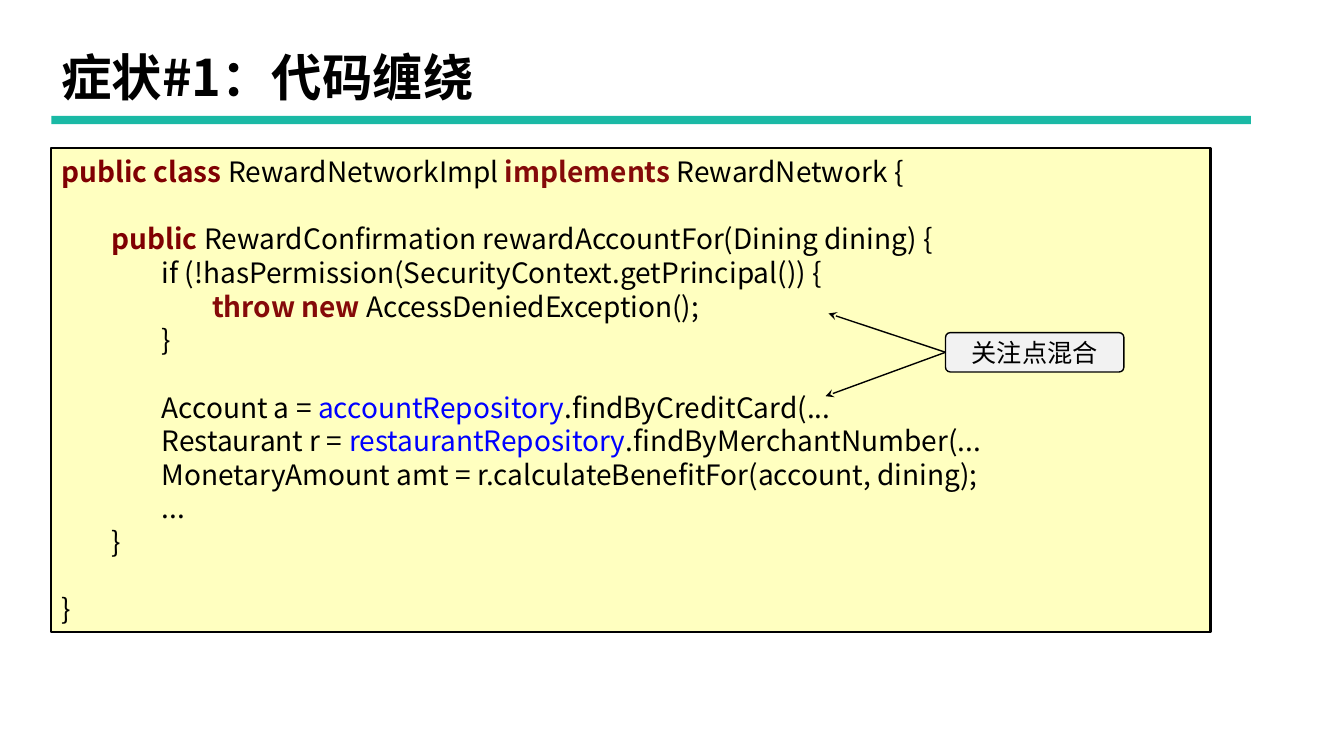
from lxml import etree
from pptx import Presentation
from pptx.dml.color import RGBColor
from pptx.enum.shapes import MSO_CONNECTOR, MSO_SHAPE
from pptx.enum.text import MSO_ANCHOR, PP_ALIGN
from pptx.oxml.ns import qn
from pptx.util import Pt

FONT = "Noto Sans CJK SC"
BLACK = RGBColor(0x00, 0x00, 0x00)
TEAL = RGBColor(0x1A, 0xB9, 0xA5)
CREAM = RGBColor(0xFF, 0xFF, 0xC0)
PALE_GREY = RGBColor(0xF2, 0xF2, 0xF2)
MAROON = RGBColor(0x80, 0x00, 0x02)
BRICK = RGBColor(0x85, 0x0A, 0x09)
BLUE = RGBColor(0x00, 0x00, 0xFF)

LEFT = 36.7
CODE_SIZE = 20
LINE_PITCH = 24
INDENT = " " * 8

# Each line: indent level, blank lines above, then (text, colour) pieces.
CODE = [
    (0, 0, [("public class ", MAROON), ("RewardNetworkImpl ", BLACK),
            ("implements ", BRICK), ("RewardNetwork {", BLACK)]),
    (1, 1, [("public ", MAROON),
            ("RewardConfirmation rewardAccountFor(Dining dining) {", BLACK)]),
    (2, 0, [("if (!hasPermission(SecurityContext.getPrincipal()) {", BLACK)]),
    (3, 0, [("throw new", BRICK), (" AccessDeniedException();", BLACK)]),
    (2, 0, [("}", BLACK)]),
    (2, 1, [("Account a = ", BLACK), ("accountRepository", BLUE),
            (".findByCreditCard(...", BLACK)]),
    (2, 0, [("Restaurant r = ", BLACK), ("restaurantRepository", BLUE),
            (".findByMerchantNumber(...", BLACK)]),
    (2, 0, [("MonetaryAmount amt = r.calculateBenefitFor(account, dining);", BLACK)]),
    (2, 0, [("...", BLACK)]),
    (1, 0, [("}", BLACK)]),
    (0, 1, [("}", BLACK)]),
]
KEYWORD_COLOURS = (MAROON, BRICK)
ARROW_TIPS = [(591.8, 223.9), (589.7, 283)]


def add_run(paragraph, text, size, colour=BLACK, bold=False):
    run = paragraph.add_run()
    run.text = text
    for name, value in {"name": FONT, "size": Pt(size), "bold": bold}.items():
        setattr(run.font, name, value)
    run.font.color.rgb = colour
    etree.SubElement(run.font._element, qn("a:ea"), typeface=FONT)


def add_panel(slide, preset, box, fill, line_width=None):
    panel = slide.shapes.add_shape(preset, *map(Pt, box))
    panel.shadow.inherit = False
    panel.fill.solid()
    panel.fill.fore_color.rgb = fill
    if line_width is None:
        panel.line.fill.background()
    else:
        panel.line.color.rgb = BLACK
        panel.line.width = Pt(line_width)
    panel.text_frame.vertical_anchor = MSO_ANCHOR.MIDDLE
    return panel


def add_title(slide, text):
    title = slide.shapes.add_textbox(Pt(LEFT), Pt(27.4), Pt(828), Pt(60.5))
    frame = title.text_frame
    frame.word_wrap = True
    frame.vertical_anchor = MSO_ANCHOR.MIDDLE
    frame.paragraphs[0].line_spacing = 0.9
    add_run(frame.paragraphs[0], text, 36, bold=True)


def add_code(slide):
    frame = add_panel(slide, MSO_SHAPE.RECTANGLE, (LEFT, 105.8, 828, 345.6),
                      CREAM, 1.5).text_frame
    for number, (level, blank_lines, pieces) in enumerate(CODE):
        line = frame.add_paragraph() if number else frame.paragraphs[0]
        line.alignment = PP_ALIGN.LEFT
        line.line_spacing = Pt(LINE_PITCH)
        if blank_lines:
            line.space_before = Pt(blank_lines * LINE_PITCH)
        if level:
            add_run(line, INDENT * level, CODE_SIZE)
        for text, colour in pieces:
            add_run(line, text, CODE_SIZE, colour, colour in KEYWORD_COLOURS)


def add_callout(slide, text):
    callout = add_panel(slide, MSO_SHAPE.ROUNDED_RECTANGLE,
                        (675.4, 237.6, 127.4, 28.1), PALE_GREY, 1)
    callout.adjustments[0] = 0.12
    label = callout.text_frame.paragraphs[0]
    label.alignment = PP_ALIGN.CENTER
    add_run(label, text, 18)
    return callout


def add_arrow(slide, source, tip):
    arrow = slide.shapes.add_connector(MSO_CONNECTOR.STRAIGHT, 0, 0, *map(Pt, tip))
    arrow.begin_connect(source, 1)
    arrow.line.color.rgb = BLACK
    arrow.line.width = Pt(1)
    etree.SubElement(arrow.line._get_or_add_ln(), qn("a:tailEnd"), type="stealth")
    etree.SubElement(arrow._element.spPr, qn("a:effectLst"))


def main():
    deck = Presentation()
    deck.slide_width, deck.slide_height = Pt(960), Pt(540)
    slide = deck.slides.add_slide(deck.slide_layouts[6])
    add_panel(slide, MSO_SHAPE.RECTANGLE, (LEFT, 82.8, 856.8, 5.8), TEAL)
    add_title(slide, "症状#1：代码缠绕")
    add_code(slide)
    callout = add_callout(slide, "关注点混合")
    for tip in ARROW_TIPS:
        add_arrow(slide, callout, tip)
    deck.save("out.pptx")


if __name__ == "__main__":
    main()
